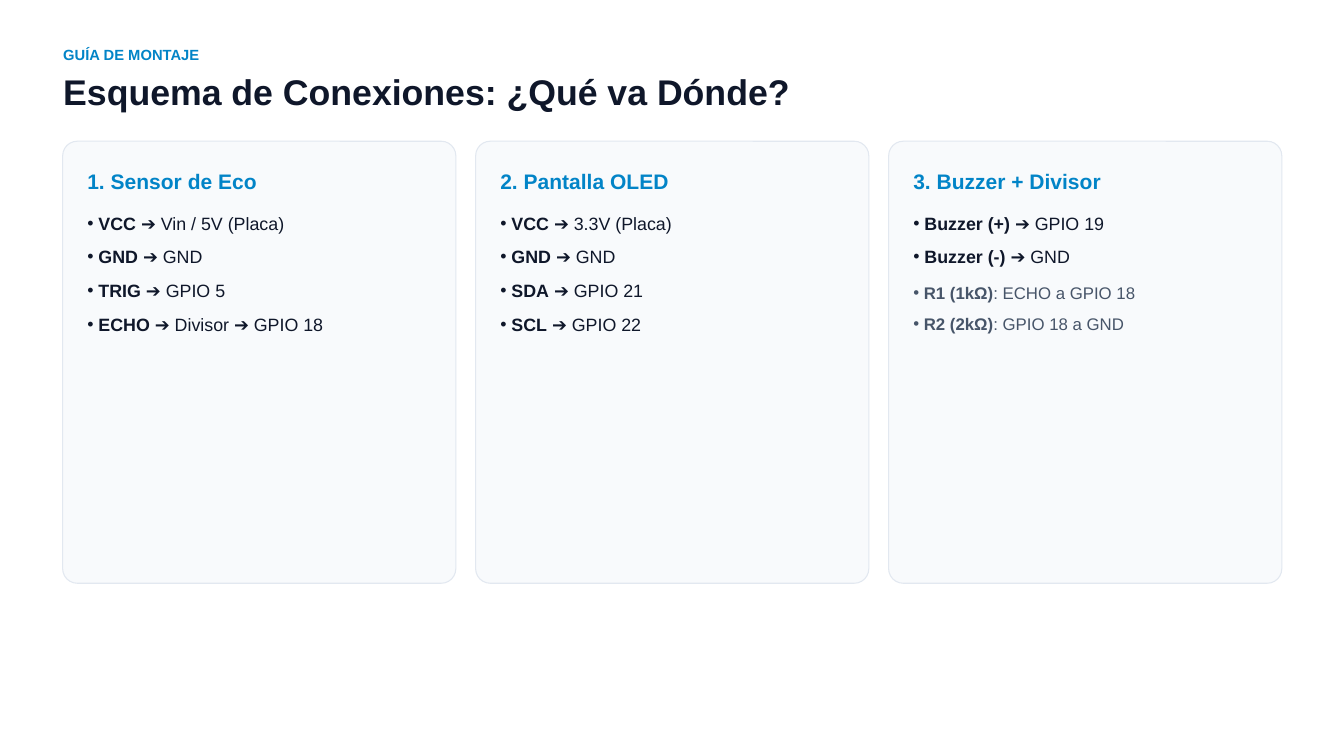
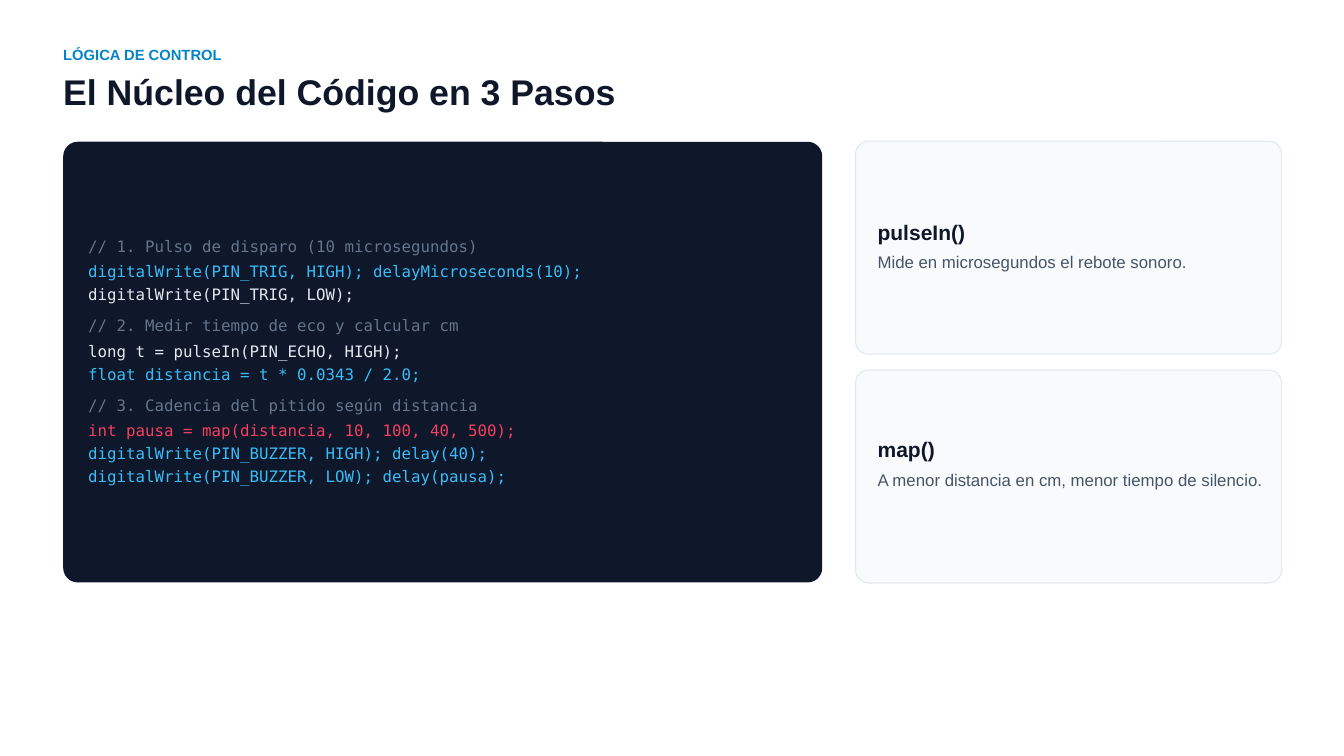
from lxml import etree
from pptx import Presentation
from pptx.dml.color import RGBColor as RGB
from pptx.enum.shapes import MSO_SHAPE as SHAPE
from pptx.enum.text import MSO_ANCHOR as ANCHOR, MSO_AUTO_SIZE as AUTO, PP_ALIGN as ALIGN
from pptx.oxml.ns import qn
from pptx.util import Cm, Pt

# Theme: colours and type styles (size and line height in points)
INK, BLUE, GREY = "0F172A", "0284C7", "475569"
SANS, MONO = "Arial", "DejaVu Sans Mono"
CODE = dict(font=MONO, size=16.9, line=20.2, bold=False)
THEME = {
    "card": "F8FAFC",
    "border": "E2E8F0",
    "code_bg": INK,
    "eyebrow": dict(font=SANS, size=15.8, line=18.9, bold=True, color=BLUE),
    "title": dict(font=SANS, size=38.2, line=45.9, bold=True, color=INK),
    "heading": dict(font=SANS, size=22.5, line=27, bold=True, color=BLUE),
    "term": dict(font=SANS, size=22.5, line=27, bold=True, color=INK),
    "item": dict(font=SANS, size=19.1, line=22.9, bold=False, color=INK, bullet=True),
    "note": dict(font=SANS, size=18, line=21.6, bold=False, color=GREY, bullet=True),
    "text": dict(font=SANS, size=18, line=21.6, bold=False, color=GREY),
    "comment": dict(CODE, color="64748B"),
    "plain": dict(CODE, color="E2E8F0"),
    "call": dict(CODE, color="38BDF8"),
    "key": dict(CODE, color="F43F5E"),
}
LEFT, TOP = 2.37, 5.34


def fill_text(sp, box, paragraphs):
    """Place sp and write (style, gap before, label, rest) paragraphs; the label is bold."""
    sp.left, sp.top, sp.width, sp.height = [Cm(v) for v in box]
    tf = sp.text_frame
    frame = dict(margin_left=0, margin_top=0, margin_right=0, margin_bottom=0,
                 word_wrap=True, auto_size=AUTO.NONE, vertical_anchor=ANCHOR.TOP)
    for name, value in frame.items():
        setattr(tf, name, value)
    for i, (style, gap, label, rest) in enumerate(paragraphs):
        st = THEME[style]
        p = tf.add_paragraph() if i else tf.paragraphs[0]
        pPr = p._p.get_or_add_pPr()
        if st.get("bullet"):
            indent = Pt(round(0.63 * st["size"], 1))
            etree.SubElement(pPr, qn("a:buFont")).set("typeface", SANS)
            etree.SubElement(pPr, qn("a:buChar")).set("char", "•")
        else:
            indent = 0
            etree.SubElement(pPr, qn("a:buNone"))
        pPr.set("marL", str(indent))
        pPr.set("indent", str(-indent))
        layout = dict(alignment=ALIGN.LEFT, line_spacing=Pt(st["line"]),
                      space_before=Pt(gap), space_after=Pt(0))
        for name, value in layout.items():
            setattr(p, name, value)
        for words, bold in ((label, True), (rest, st["bold"])):
            if words:
                r = p.add_run()
                r.text = words
                font = dict(name=st["font"], size=Pt(st["size"]), bold=bold)
                for name, value in font.items():
                    setattr(r.font, name, value)
                r.font.color.rgb = RGB.from_string(st["color"])


def add_card(s, box, radius, fill, border=None):
    """Add a rounded panel behind the slide's text."""
    sp = s.shapes.add_shape(SHAPE.ROUNDED_RECTANGLE, *[Cm(v) for v in box])
    sp.adjustments[0] = radius / min(box[2:])
    sp.shadow.inherit = False
    sp.fill.solid()
    sp.fill.fore_color.rgb = RGB.from_string(fill)
    if border:
        sp.line.color.rgb = RGB.from_string(border)
        sp.line.width = Pt(1.13)
    else:
        sp.line.fill.background()
    s.shapes.title.element.addprevious(sp.element)


prs = Presentation()
prs.slide_width, prs.slide_height = Cm(50.8), Cm(28.58)

# Both slides: eyebrow and title; the other three bodies hold the content
slides = []
for eyebrow, title in (
    ("GUÍA DE MONTAJE", "Esquema de Conexiones: ¿Qué va Dónde?"),
    ("LÓGICA DE CONTROL", "El Núcleo del Código en 3 Pasos"),
):
    s = prs.slides.add_slide(prs.slide_layouts[4])
    _, top_body, *bodies = s.placeholders
    fill_text(top_body, (2.39, 1.73, 46, 0.75), [("eyebrow", 0, "", eyebrow)])
    fill_text(s.shapes.title, (2.39, 2.64, 46, 1.75), [("title", 0, "", title)])
    slides.append((s, bodies))

# Slide 1: three wiring cards
s, bodies = slides[0]
wiring = [
    ("1. Sensor de Eco", [
        ("item", 19.8, "VCC", " ➔ Vin / 5V (Placa)"),
        ("item", 13.1, "GND", " ➔ GND"),
        ("item", 13.1, "TRIG", " ➔ GPIO 5"),
        ("item", 13.1, "ECHO", " ➔ Divisor ➔ GPIO 18")]),
    ("2. Pantalla OLED", [
        ("item", 19.8, "VCC", " ➔ 3.3V (Placa)"),
        ("item", 13.1, "GND", " ➔ GND"),
        ("item", 13.1, "SDA", " ➔ GPIO 21"),
        ("item", 13.1, "SCL", " ➔ GPIO 22")]),
    ("3. Buzzer + Divisor", [
        ("item", 19.8, "Buzzer (+)", " ➔ GPIO 19"),
        ("item", 13.1, "Buzzer (-)", " ➔ GND"),
        ("note", 16.7, "R1 (1kΩ)", ": ECHO a GPIO 18"),
        ("note", 11.5, "R2 (2kΩ)", ": GPIO 18 a GND")]),
]
for i, (body, (heading, pins)) in enumerate(zip(bodies, wiring)):
    x = LEFT + i * 15.61
    add_card(s, (x, TOP, 14.86, 16.71), 0.55, THEME["card"], THEME["border"])
    fill_text(body, (x + 0.93, 6.38, 13, 7), [("heading", 0, "", heading)] + pins)

# Slide 2: code panel
s, (code_body, *term_bodies) = slides[1]
code = [
    ("comment", "// 1. Pulso de disparo (10 microsegundos)"),
    ("call", "digitalWrite(PIN_TRIG, HIGH); delayMicroseconds(10);"),
    ("plain", "digitalWrite(PIN_TRIG, LOW);"),
    ("comment", "// 2. Medir tiempo de eco y calcular cm"),
    ("plain", "long t = pulseIn(PIN_ECHO, HIGH);"),
    ("call", "float distancia = t * 0.0343 / 2.0;"),
    ("comment", "// 3. Cadencia del pitido según distancia"),
    ("key", "int pausa = map(distancia, 10, 100, 40, 500);"),
    ("call", "digitalWrite(PIN_BUZZER, HIGH); delay(40);"),
    ("call", "digitalWrite(PIN_BUZZER, LOW); delay(pausa);"),
]
lines, previous = [], None
for style, words in code:
    gap = 13.6 if style == "comment" else 6.9 if previous == "comment" else 4.3
    lines.append((style, gap if previous else 0, "", words))
    previous = style
add_card(s, (2.39, 5.36, 28.69, 16.66), 0.55, THEME["code_bg"])
fill_text(code_body, (3.33, 8.94, 26.8, 9.5), lines)

# Slide 2: function cards
terms = [
    (8.28, "pulseIn()", "Mide en microsegundos el rebote sonoro."),
    (16.51, "map()", "A menor distancia en cm, menor tiempo de silencio."),
]
for i, (body, (y, term, meaning)) in enumerate(zip(term_bodies, terms)):
    add_card(s, (32.34, TOP + i * 8.65, 16.1, 8.05), 0.48, THEME["card"], THEME["border"])
    fill_text(body, (33.17, y, 15, 3),
              [("term", 0, "", term), ("text", 7.8, "", meaning)])

prs.save("out.pptx")
